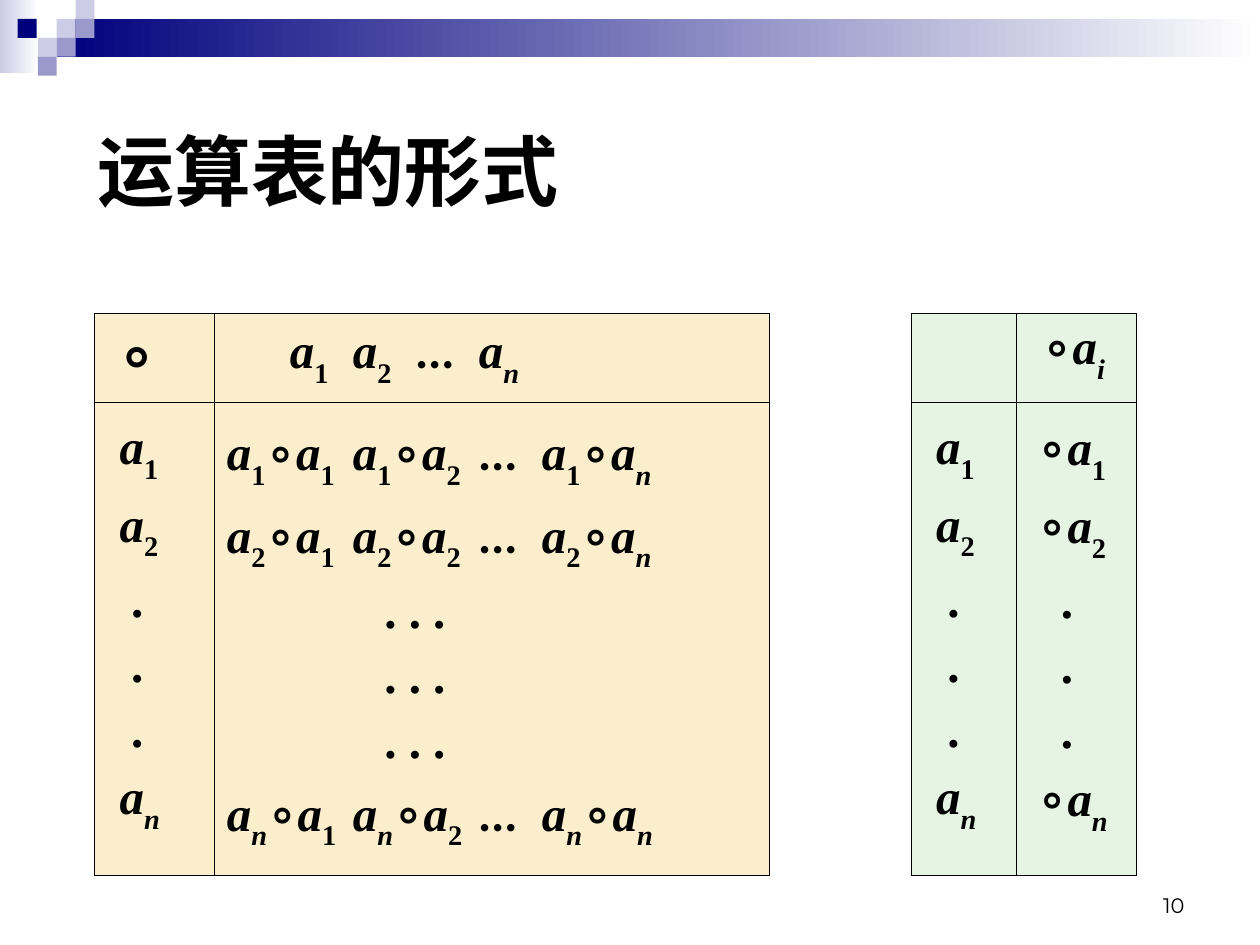
from itertools import groupby

from lxml import etree
from pptx import Presentation
from pptx.dml.color import RGBColor
from pptx.enum import shapes, text
from pptx.oxml import ns
from pptx.util import Inches, Pt

COLORS = {
    "black": "000000",
    "white": "FFFFFF",
    "navy": "00007D",
    "violet": "9999CC",
    "lavender": "CCCCE6",
    "cream": "FBEECD",
    "mint": "E6F5E3",
}
SYMBOL_FONTS = {"∘": "Arial", "…": "Lato"}
SQUARES = [
    (0.45, 0.15, "lavender"), (0.6, 0, "lavender"), (0.6, 0.15, "violet"),
    (0.3, 0.3, "lavender"), (0.14, 0.15, "navy"), (0.45, 0.3, "violet"),
    (0.3, 0.45, "violet"),
]
COLUMNS = [0.95, 4.41, 1.12, 0.84, 0.95]
ROWS = [0.7, 3.76]
HEAD_TABS = [0.19, 1.28, 2.26, 3.34]
BODY_TABS = [1.15, 2.3, 3.08]
DOT_ROWS = 3


def color(name):
    return RGBColor.from_string(COLORS[name])


def add_block(page, left, top, width, height, fill, fade=False):
    box = page.shapes.add_shape(
        shapes.MSO_SHAPE.RECTANGLE,
        Inches(left), Inches(top), Inches(width), Inches(height))
    box.shadow.inherit = False
    box.line.fill.background()
    if fade:
        box.fill.gradient()
        box.fill.gradient_angle = 0
        for stop, name in zip(box.fill.gradient_stops, (fill, "white")):
            stop.color.rgb = color(name)
    else:
        box.fill.solid()
        box.fill.fore_color.rgb = color(fill)


def add_span(para, words, font, size, bold=True, italic=False):
    span = para.add_run()
    span.text = words
    span.font.name = font
    span.font.size = Pt(size)
    span.font.bold = bold
    span.font.italic = italic
    span.font.color.rgb = color("black")
    return span


def char_styles(formula):
    lowered = False
    for char in formula:
        if char == "_":
            lowered = True
            continue
        font = SYMBOL_FONTS.get(char, "Times New Roman")
        yield char, (font, char in "ain", lowered)
        lowered = False


def add_formula(para, formula, size=28):
    for style, chars in groupby(char_styles(formula), lambda pair: pair[1]):
        font, italic, lowered = style
        words = "".join(char for char, _ in chars)
        span = add_span(para, words, font, size, italic=italic)
        if lowered:
            span.font._element.set("baseline", "-30000")


def set_indent(para, indent, tabs=()):
    props = para._p.get_or_add_pPr()
    props.set("marL", str(Inches(indent)))
    props.set("indent", "0")
    if tabs:
        stops = etree.SubElement(props, ns.qn("a:tabLst"))
        for tab in tabs:
            etree.SubElement(stops, ns.qn("a:tab"), pos=str(Inches(tab)), algn="l")


def fill_cell(cell, lines, spacing=1.0, size=28):
    frame = cell.text_frame
    for number, (formula, indent, tabs) in enumerate(lines):
        para = frame.add_paragraph() if number else frame.paragraphs[0]
        para.line_spacing = spacing
        set_indent(para, indent, tabs)
        add_formula(para, formula, size)


def set_borders(cell, hidden=()):
    props = cell._tc.get_or_add_tcPr()
    for number, side in enumerate("LRTB"):
        line = etree.Element(ns.qn(f"a:ln{side}"), w=str(Pt(0.45)))
        if side in hidden:
            etree.SubElement(line, ns.qn("a:noFill"))
        else:
            solid = etree.SubElement(line, ns.qn("a:solidFill"))
            etree.SubElement(solid, ns.qn("a:srgbClr"), val=COLORS["black"])
        props.insert(number, line)


def column_lines(pattern, indent, dot_indent):
    dots = [(".", dot_indent, ())] * DOT_ROWS
    first, second, last = [(pattern.format(k), indent, ()) for k in "12n"]
    return [first, second, *dots, last]


def product_lines():
    def product(k):
        return "\t".join(f"a_{k}∘a_{m}" if m else "…" for m in ("1", "2", "", "n"))
    first, second, last = [(product(k), 0, BODY_TABS) for k in "12n"]
    return [first, second, *[(". . .", 1.25, ())] * DOT_ROWS, last]


def add_operation_table(page):
    frame = page.shapes.add_table(
        len(ROWS), len(COLUMNS), Inches(0.75), Inches(2.49),
        Inches(sum(COLUMNS)), Inches(sum(ROWS)))
    table = frame.table
    table.first_row = table.horz_banding = False
    for column, width in zip(table.columns, COLUMNS):
        column.width = Inches(width)
    for row, height in zip(table.rows, ROWS):
        row.height = Inches(height)

    fills = ["cream", "cream", None, "mint", "mint"]
    for row in range(len(ROWS)):
        for column, name in enumerate(fills):
            cell = table.cell(row, column)
            if name:
                cell.fill.solid()
                cell.fill.fore_color.rgb = color(name)
            else:
                cell.fill.background()
            set_borders(cell, hidden="" if name else "TB")
    table.cell(0, 2).merge(table.cell(1, 2))

    fill_cell(table.cell(0, 0), [("∘", 0.08, ())], size=36)
    fill_cell(table.cell(0, 1), [("\ta_1\ta_2\t…\ta_n", 0, HEAD_TABS)])
    fill_cell(table.cell(0, 4), [("∘a_i", 0.1, ())])
    bodies = {
        0: column_lines("a_{}", 0.1, 0.19),
        1: product_lines(),
        3: column_lines("a_{}", 0.1, 0.19),
        4: column_lines("∘a_{}", 0.06, 0.25),
    }
    for column, lines in bodies.items():
        fill_cell(table.cell(1, column), lines, spacing=1.2)


def add_title(page, words):
    title = page.shapes.title
    title.left, title.top = Inches(0.67), Inches(0.6)
    title.width, title.height = Inches(9), Inches(1.5)
    title.text_frame.vertical_anchor = text.MSO_ANCHOR.MIDDLE
    para = title.text_frame.paragraphs[0]
    para.alignment = text.PP_ALIGN.LEFT
    add_span(para, words, "Arial", 44)


def add_page_number(page, number):
    box = page.shapes.add_textbox(
        Inches(7.17), Inches(6.83), Inches(2.33), Inches(0.5))
    box.text_frame.word_wrap = True
    box.text_frame.vertical_anchor = text.MSO_ANCHOR.BOTTOM
    para = box.text_frame.paragraphs[0]
    para.alignment = text.PP_ALIGN.RIGHT
    add_span(para, number, "Montserrat", 12, bold=False)


def main():
    deck = Presentation()
    deck.slide_width, deck.slide_height = Inches(10), Inches(7.5)
    page = deck.slides.add_slide(deck.slide_layouts[5])
    add_block(page, 0, 0, 0.31, 0.58, "lavender", fade=True)
    add_block(page, 0.45, 0.15, 9.55, 0.3, "navy", fade=True)
    for left, top, fill in SQUARES:
        add_block(page, left, top, 0.15, 0.15, fill)
    add_title(page, "运算表的形式")
    add_operation_table(page)
    add_page_number(page, "10")
    deck.save("out.pptx")


if __name__ == "__main__":
    main()
